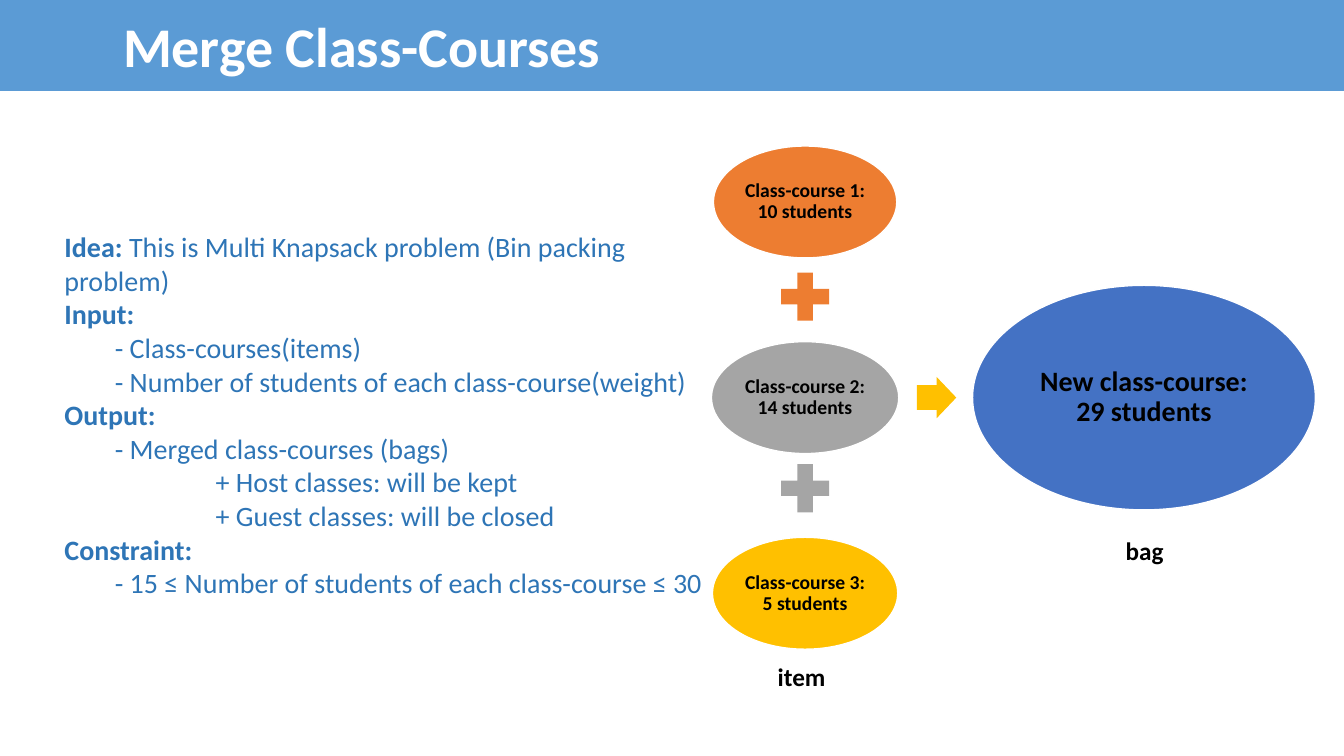
from pptx import Presentation
from pptx.dml.color import RGBColor
from pptx.enum import shapes, text
from pptx.util import Cm, Pt
from lxml import etree

WHITE = RGBColor(0xFF, 0xFF, 0xFF)
BLACK = RGBColor(0x00, 0x00, 0x00)
BAND_BLUE = RGBColor(0x5B, 0x9B, 0xD5)
TEXT_BLUE = RGBColor(0x2E, 0x75, 0xB6)
ORANGE = RGBColor(0xED, 0x7D, 0x31)
GREY = RGBColor(0xA5, 0xA5, 0xA5)
GOLD = RGBColor(0xFF, 0xC0, 0x00)
BAG_BLUE = RGBColor(0x44, 0x72, 0xC4)
FONT = "Calibri"
INDENTS = (0, 1.27, 3.81)
A = "http://schemas.openxmlformats.org/drawingml/2006/main"

# (level, bold lead, plain text)
IDEA = [
    (0, "Idea: ", "This is Multi Knapsack problem (Bin packing problem)"),
    (0, "Input:", ""),
    (1, "", "- Class-courses(items)"),
    (1, "", "- Number of students of each class-course(weight)"),
    (0, "Output:", ""),
    (1, "", "- Merged class-courses (bags)"),
    (2, "", "+ Host classes: will be kept"),
    (2, "", "+ Guest classes: will be closed"),
    (0, "Constraint:", ""),
    (1, "", "- 15 ≤ Number of students of each class-course ≤ 30"),
]
ITEMS = [
    ("Class-course 1: 10 students", 4.62, ORANGE),
    ("Class-course 2: 14 students", 4.72, GREY),
    ("Class-course 3: 5 students", 4.67, GOLD),
]
ITEM_CENTER, ITEM_TOP, ITEM_PITCH, ITEM_HEIGHT = 20.29, 3.68, 4.93, 2.82
PLUS_TOP, PLUS_PITCH, PLUS_SIZE = 6.65, 4.83, 1.65


def add_text(p, words, size=20, color=BLACK, bold=False):
    r = p.add_run()
    r.text = words
    r.font.name = FONT
    r.font.size = Pt(size)
    r.font.bold = bold
    r.font.color.rgb = color


def place(sp, left, top, width, height):
    sp.left, sp.top, sp.width, sp.height = map(Cm, (left, top, width, height))


def fill_title(sp, words):
    """Turn the title placeholder into the full-width band."""
    place(sp, 0, 0, 33.87, 2.29)
    sp.fill.solid()
    sp.fill.fore_color.rgb = BAND_BLUE
    tf = sp.text_frame
    tf.auto_size = text.MSO_AUTO_SIZE.NONE
    tf.vertical_anchor = text.MSO_ANCHOR.MIDDLE
    tf.margin_left = Cm(3.1)
    p = tf.paragraphs[0]
    p.alignment = text.PP_ALIGN.LEFT
    add_text(p, words, size=40, color=WHITE, bold=True)


def fill_body(sp, lines):
    place(sp, 1.37, 5.66, 17.3, 10.52)
    tf = sp.text_frame
    tf.auto_size = text.MSO_AUTO_SIZE.NONE
    tf.vertical_anchor = text.MSO_ANCHOR.TOP
    for i, (level, lead, plain) in enumerate(lines):
        p = tf.add_paragraph() if i else tf.paragraphs[0]
        p.level = level
        p.space_before = p.space_after = Pt(0)
        p.line_spacing = 1.0
        p_pr = p._p.get_or_add_pPr()
        p_pr.set("marL", str(Cm(INDENTS[level])))
        p_pr.set("indent", "0")
        etree.SubElement(p_pr, f"{{{A}}}buNone")
        if lead:
            add_text(p, lead, color=TEXT_BLUE, bold=True)
        if plain:
            add_text(p, plain, color=TEXT_BLUE)


def add_figure(slide, kind, left, top, width, height, color):
    sp = slide.shapes.add_shape(kind, *map(Cm, (left, top, width, height)))
    sp.shadow.inherit = False
    sp.fill.solid()
    sp.fill.fore_color.rgb = color
    sp.line.fill.background()
    return sp


def add_ellipse(slide, words, left, top, width, height, color, size):
    sp = add_figure(slide, shapes.MSO_SHAPE.OVAL, left, top, width, height, color)
    sp.line.color.rgb = WHITE
    sp.line.width = Pt(1)
    tf = sp.text_frame
    tf.word_wrap = True
    tf.vertical_anchor = text.MSO_ANCHOR.MIDDLE
    tf.margin_left = tf.margin_right = tf.margin_top = tf.margin_bottom = Cm(0.05)
    p = tf.paragraphs[0]
    p.alignment = text.PP_ALIGN.CENTER
    p.line_spacing = 0.9
    add_text(p, words, size=size, bold=True)


def add_label(slide, words, left, top, width):
    sp = slide.shapes.add_textbox(*map(Cm, (left, top, width, 1.02)))
    sp.text_frame.word_wrap = False
    add_text(sp.text_frame.paragraphs[0], words, size=18, bold=True)


def main():
    prs = Presentation()
    prs.slide_width, prs.slide_height = Cm(33.87), Cm(19.05)
    slide = prs.slides.add_slide(prs.slide_layouts[1])
    fill_title(slide.shapes.title, "Merge Class-Courses")
    fill_body(slide.placeholders[1], IDEA)

    for i, (words, width, color) in enumerate(ITEMS):
        add_ellipse(slide, words, ITEM_CENTER - width / 2, ITEM_TOP + i * ITEM_PITCH,
                    width, ITEM_HEIGHT, color, size=14)
        if i < len(ITEMS) - 1:
            add_figure(slide, shapes.MSO_SHAPE.MATH_PLUS, ITEM_CENTER - PLUS_SIZE / 2,
                       PLUS_TOP + i * PLUS_PITCH, PLUS_SIZE, PLUS_SIZE, color)
    arrow = add_figure(slide, shapes.MSO_SHAPE.RIGHT_ARROW, 23.11, 9.5, 0.99, 1.04, GOLD)
    arrow.adjustments[0] = 0.6
    add_ellipse(slide, "New class-course: 29 students", 24.51, 7.19, 8.64, 5.66,
                BAG_BLUE, size=20)
    add_label(slide, "item", 19.35, 16.54, 1.73)
    add_label(slide, "bag", 28.12, 13.36, 1.47)
    prs.save("out.pptx")


if __name__ == "__main__":
    main()
